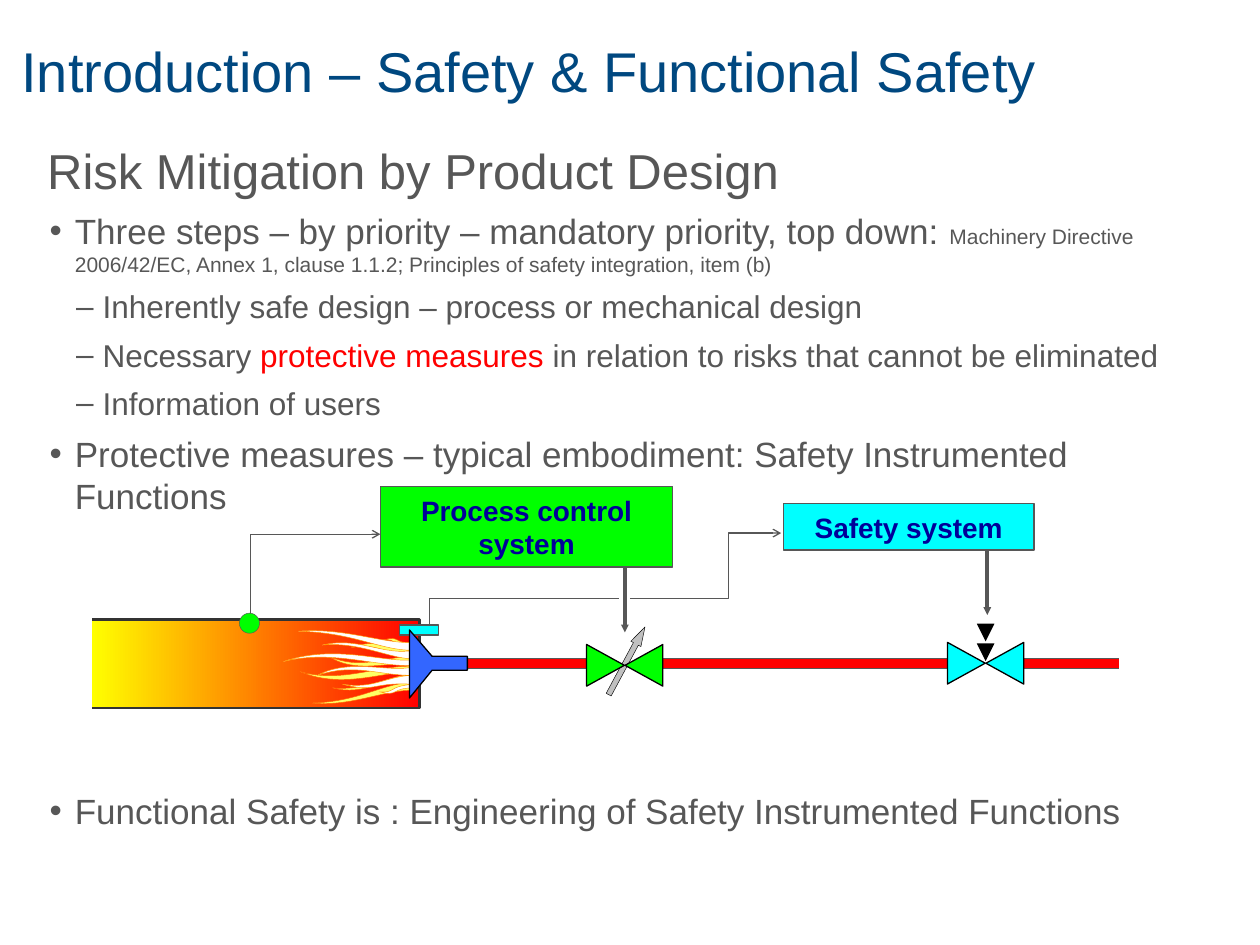
from lxml import etree
from pptx import Presentation
from pptx.dml.color import RGBColor
from pptx.enum import shapes, text
from pptx.oxml.ns import qn
from pptx.util import Pt

NAVY, GREY = RGBColor(0, 0x48, 0x80), RGBColor(0x57, 0x57, 0x57)
INK, DARK = RGBColor(0, 0, 0x99), RGBColor(0x33, 0x33, 0x33)
RED, LIME, AQUA = RGBColor(255, 0, 0), RGBColor(0, 255, 0), RGBColor(0, 255, 255)
BLACK, WHITE = RGBColor(0, 0, 0), RGBColor(255, 255, 255)
YELLOW, CREAM = RGBColor(255, 255, 0), RGBColor(255, 255, 0x66)
ORANGE, AMBER = RGBColor(255, 0x66, 0), RGBColor(255, 0x99, 0)
BLUE, SILVER = RGBColor(0x33, 0x66, 255), RGBColor(0xC0, 0xC0, 0xC0)

TITLE = "Introduction – Safety & Functional Safety"
GAP = 156  # room for the diagram above the last bullet
# level, space before, runs of (text, size, colour)
BODY = [
    (0, 0, [("Risk Mitigation by Product Design", 28, GREY)]),
    (1, 6, [("Three steps – by priority – mandatory priority, top down: ", 20, GREY),
            ("Machinery Directive 2006/42/EC, Annex 1, clause 1.1.2; "
             "Principles of safety integration, item (b)", 12, GREY)]),
    (2, 6, [("Inherently safe design – process or mechanical design", 18, GREY)]),
    (2, 6, [("Necessary ", 18, GREY), ("protective measures", 18, RED),
            (" in relation to risks that cannot be eliminated", 18, GREY)]),
    (2, 6, [("Information of users", 18, GREY)]),
    (1, 6, [("Protective measures – typical embodiment: "
             "Safety Instrumented Functions", 20, GREY)]),
    (1, GAP, [("Functional Safety is : Engineering of "
               "Safety Instrumented Functions", 20, GREY)]),
]
LEVELS = {1: ("•", 15.8, -14.4), 2: ("–", 31.7, -15.1)}  # bullet, margin, indent

DRIVES = [(357.1, 310.3, 361.4), (564.2, 308.2, 351.4)]  # x, top, bottom
BOXES = [("Process control system", (217.4, 277.9, 167, 46.1), LIME),
         ("Safety system", (447.6, 287.8, 143.3, 26.6), AQUA)]
PIPE = (259.2, 376.4, 380.2, 5.6)
HEAT = [(143.3, 353.5), (143.3, 305.3), (217.4, 305.3)]
ALARM = [(360, 342), (416.2, 342), (416.2, 304.6), (446.4, 304.6)]
SENSE = [(245.5, 357.1), (245.5, 342), (353.5, 342)]
WALL = [(52.6, 354.2), (239.8, 354.2), (239.8, 404.6), (52.6, 404.6)]
NOZZLE = [(247, 383), (234, 398.9), (234, 360), (247, 375.1),
          (267.1, 375.1), (267.1, 383)]

# Start point, then two control points and an end point for each curve
FLAMES = [
    (CREAM, ORANGE, [
        (236.2, 394.6),
        (220.3, 393.8), (201.6, 403.9), (178.6, 401.8),
        (206.6, 401), (220.3, 389.5), (236.9, 390.2),
        (221, 385.9), (208.8, 398.2), (190.1, 393.1),
        (210.2, 395.3), (225.4, 384.5), (238.3, 385.2),
        (223.9, 380.9), (198.7, 395.3), (171.4, 383.8),
        (195.8, 391), (217.4, 379.4), (237.6, 380.9),
        (226.8, 375.8), (205.2, 386.6), (187.9, 375.1),
        (206.6, 383), (217.4, 375.8), (235.4, 375.1),
        (221.8, 374.4), (216, 367.2), (200.9, 370.1),
        (217.4, 364.3), (214.6, 371.5), (236.2, 370.1),
        (221.8, 368.6), (228.2, 365), (218.9, 365.8),
        (229, 362.9), (224.6, 367.9), (235.4, 367.2)]),
    (WHITE, AMBER, [
        (236.9, 367.2),
        (218.2, 367.9), (197.3, 358.6), (170.6, 360.7),
        (203, 361.4), (218.2, 372.2), (236.9, 371.5),
        (219.6, 375.1), (205.2, 363.6), (184.3, 368.6),
        (206.6, 366.5), (223.9, 377.3), (239, 376.6),
        (222.5, 380.2), (193.7, 367.2), (162, 378),
        (190.8, 370.8), (215.3, 381.6), (238.3, 380.2),
        (226.1, 385.9), (201.6, 375.1), (181.4, 385.9),
        (203, 378.7), (215.3, 385.9), (235.4, 385.9),
        (220.3, 386.6), (213.8, 393.8), (195.8, 391),
        (215.3, 396), (212.4, 389.5), (236.2, 391),
        (220.3, 392.4), (227.5, 396), (216.7, 395.3),
        (228.2, 398.2), (223.2, 393.1), (236.2, 393.1)]),
]

deck = Presentation()
deck.slide_width, deck.slide_height = Pt(720), Pt(540)
page = deck.slides.add_slide(deck.slide_layouts[6]).shapes
KIND = shapes.MSO_SHAPE


def add_run(para, words, size=16, color=INK, bold=False):
    run = para.add_run()
    run.text = words
    font = run.font
    font.name, font.size, font.bold = "Arial", Pt(size), bold
    font.color.rgb = color


def set_frame(shape, side, top, anchor=text.MSO_ANCHOR.TOP):
    frame = shape.text_frame
    frame.word_wrap, frame.vertical_anchor = True, anchor
    frame.margin_left = frame.margin_right = Pt(side)
    frame.margin_top = frame.margin_bottom = Pt(top)
    return frame


def paint(shape, fill=None, line=None, width=0.75, head=None):
    shape.shadow.inherit = False
    if fill is None:
        shape.fill.background()
    else:
        shape.fill.solid()
        shape.fill.fore_color.rgb = fill
    stroke(shape, line, width, head)
    return shape


def stroke(shape, line, width, head=None):
    if line is None:
        shape.line.fill.background()
        return
    shape.line.color.rgb, shape.line.width = line, Pt(width)
    if head:
        pen = shape._element.spPr.find(qn("a:ln"))
        etree.SubElement(pen, qn("a:tailEnd"), type=head, w="sm", len="sm")


def add_form(kind, box, turn=0, **look):
    shape = page.add_shape(kind, *map(Pt, box))
    shape.rotation = turn
    return paint(shape, **look)


def add_path(points, close=False, **look):
    spots = [(Pt(x), Pt(y)) for x, y in points]
    pen = page.build_freeform(*spots[0])
    pen.add_line_segments(spots[1:], close=close)
    return paint(pen.convert_to_shape(), **look)


def bend(shape):
    """Join each three straight segments into one cubic curve."""
    lines = list(shape._element.iter(qn("a:lnTo")))
    for i in range(0, len(lines), 3):
        curve = etree.Element(qn("a:cubicBezTo"))
        lines[i].addprevious(curve)
        for line in lines[i:i + 3]:
            curve.append(line[0])
            line.getparent().remove(line)


def add_line(x1, y1, x2, y2, width=0.75, head=None):
    line = page.add_connector(shapes.MSO_CONNECTOR.STRAIGHT, *map(Pt, (x1, y1, x2, y2)))
    stroke(line, GREY, width, head)
    etree.SubElement(line._element.spPr, qn("a:effectLst"))


def mid(x, y, wide, high):
    """Box with its centre at x, y."""
    return x - wide / 2, y - high / 2, wide, high


def add_valve(x, y, color, arrow=False):
    add_form(KIND.RECTANGLE, mid(x, y, 20.9, 18), 90, fill=WHITE)
    if arrow:
        shape = add_form(KIND.RIGHT_ARROW, mid(x + 1.2, y - 2.6, 43.9, 6.5), 298.2,
                         fill=SILVER, line=BLACK, width=0.25)
        shape.adjustments[0], shape.adjustments[1] = 0.5, 1.69
    for side, turn in ((-1, 90), (1, 270)):
        add_form(KIND.ISOSCELES_TRIANGLE, mid(x + side * 11, y, 23.8, 21.6), turn,
                 fill=color, line=BLACK)


title = set_frame(page.add_textbox(*map(Pt, (5.2, 21.6, 620, 45.4))), 7.2, 3.6)
title.paragraphs[0].line_spacing = 0.9
add_run(title.paragraphs[0], TITLE, size=32, color=NAVY)

body = set_frame(page.add_textbox(*map(Pt, (27, 80.2, 657.4, 342))), 0, 0)
for n, (level, space, runs) in enumerate(BODY):
    para = body.add_paragraph() if n else body.paragraphs[0]
    para.space_before = Pt(space)
    if level:
        mark, margin, indent = LEVELS[level]
        props = para._p.get_or_add_pPr()
        props.set("marL", str(Pt(margin)))
        props.set("indent", str(Pt(indent)))
        etree.SubElement(props, qn("a:buFont"), typeface="Arial")
        etree.SubElement(props, qn("a:buChar"), char=mark)
    para.font.size = Pt(runs[0][1])
    for words, size, color in runs:
        add_run(para, words, size=size, color=color)

for x, top, bottom in DRIVES:
    add_line(x, top, x, bottom, width=2.25, head="triangle")
add_path(HEAT, line=GREY, head="arrow")
for words, box, color in BOXES:
    shape = add_form(KIND.RECTANGLE, box, fill=color, line=GREY)
    para = set_frame(shape, 4.3, 3.6, text.MSO_ANCHOR.MIDDLE).paragraphs[0]
    para.alignment = text.PP_ALIGN.CENTER
    add_run(para, words, bold=True)

add_form(KIND.RECTANGLE, PIPE, fill=RED)
left, top, wide, high = PIPE
for y in (top, top + high):
    add_line(left, y, left + wide, y)

oven = add_form(KIND.RECTANGLE, (52.6, 353.5, 187.2, 50.4))
oven.fill.gradient()
oven.fill.gradient_angle = 0
for stop, color in zip(oven.fill.gradient_stops, (YELLOW, RED)):
    stop.color.rgb = color
add_path(WALL, line=DARK, width=1.5)
for fill, edge, nodes in FLAMES:
    bend(add_path(nodes, fill=fill, line=edge, width=0.25))
add_form(KIND.RECTANGLE, (228.2, 357.1, 22.3, 5.8), fill=AQUA, line=GREY)
add_path(NOZZLE, close=True, fill=BLUE, line=BLACK)

add_valve(563.2, 379, AQUA)
for y in (356.4, 367.7):
    add_form(KIND.ISOSCELES_TRIANGLE, mid(563.2, y + 5, 10.1, 10.1), 180, fill=BLACK)
add_valve(357, 380.2, LIME, arrow=True)
add_form(KIND.OVAL, (136.8, 350.4, 11.5, 11.5), fill=LIME, line=GREY, width=0.25)
add_path(ALARM, line=GREY, head="arrow")
add_path(SENSE, line=GREY)

deck.save("out.pptx")
